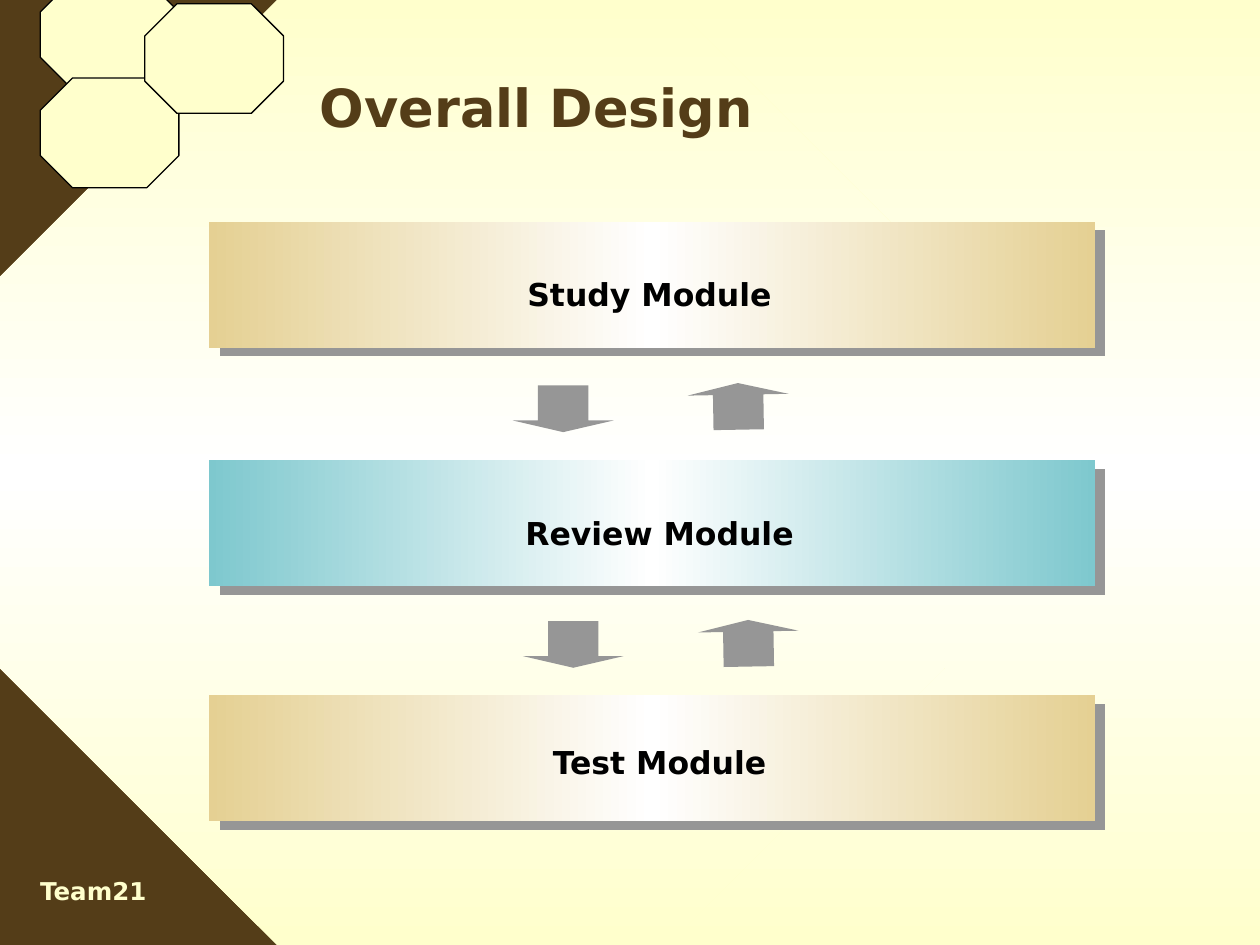
from copy import deepcopy
from dataclasses import dataclass

from lxml import etree
from pptx import Presentation
from pptx.dml.color import RGBColor
from pptx.enum import shapes, text
from pptx.oxml import ns
from pptx.util import Inches, Pt

COLORS = {
    "brown": "543D18",
    "cream": "FFFFCC",
    "white": "FFFFFF",
    "black": "000000",
    "sand": "E5D093",
    "teal": "7EC8CE",
    "gray": "969696",
}
FONT = "DejaVu Sans"
OCTAGON = shapes.MSO_SHAPE.OCTAGON
RECTANGLE = shapes.MSO_SHAPE.RECTANGLE
DOWN_ARROW = shapes.MSO_SHAPE.DOWN_ARROW


@dataclass
class Module:
    name: str
    color: str
    top: float
    label_left: float
    label_top: float


@dataclass
class Arrow:
    left: float
    top: float
    rotation: float = 0


MODULES = [
    Module("Study Module", "sand", 1.76, 1.82, 2.13),
    Module("Review Module", "teal", 3.65, 1.90, 4.03),
    Module("Test Module", "sand", 5.52, 1.90, 5.85),
]
ARROWS = [
    Arrow(4.07, 3.06),
    Arrow(4.15, 4.93),
    Arrow(5.46, 3.04, 179),
    Arrow(5.54, 4.92, 179),
]
CELLS = [(0.32, -0.16), (0.32, 0.62), (1.15, 0.03)]


def rgb(name: str) -> RGBColor:
    return RGBColor.from_string(COLORS[name])


def add_shape(slide, kind, left: float, top: float, width: float, height: float):
    """Add a preset shape with neither outline nor shadow."""
    shape = slide.shapes.add_shape(
        kind, Inches(left), Inches(top), Inches(width), Inches(height))
    shape.shadow.inherit = False
    shape.line.fill.background()
    if kind == OCTAGON:
        shape.adjustments[0] = 0.293
    return shape


def fill_solid(shape, color: str) -> None:
    shape.fill.solid()
    shape.fill.fore_color.rgb = rgb(color)


def fill_mirrored(shape, edge: str, angle: float) -> None:
    """Fill with a gradient that is white midway and the edge colour at both ends."""
    shape.fill.gradient()
    shape.fill.gradient_angle = angle
    stop_list = shape._element.spPr.find(".//" + ns.qn("a:gsLst"))
    stop_list.insert(1, deepcopy(stop_list[0]))
    for stop, position, color in zip(
            shape.fill.gradient_stops, (0, 0.5, 1), (edge, "white", edge)):
        stop.position = position
        stop.color.rgb = rgb(color)


def add_hard_shadow(shape, color: str) -> None:
    effects = shape._element.spPr.find(ns.qn("a:effectLst"))
    shadow = etree.SubElement(
        effects, ns.qn("a:outerShdw"), dist=str(int(Pt(7.8))),
        dir=str(40 * 60000), algn="ctr", rotWithShape="0")
    etree.SubElement(shadow, ns.qn("a:srgbClr"), val=COLORS[color])


def add_text(slide, wording: str, left: float, top: float, width: float,
             height: float, *, size: float, color: str,
             align=text.PP_ALIGN.LEFT, anchor=text.MSO_ANCHOR.TOP) -> None:
    box = slide.shapes.add_textbox(
        Inches(left), Inches(top), Inches(width), Inches(height))
    frame = box.text_frame
    frame.word_wrap = True
    frame.vertical_anchor = anchor
    paragraph = frame.paragraphs[0]
    paragraph.alignment = align
    run = paragraph.add_run()
    run.text = wording
    run.font.name = FONT
    run.font.size = Pt(size)
    run.font.bold = True
    run.font.color.rgb = rgb(color)


def add_backdrop(slide) -> None:
    slide.background.fill.solid()
    slide.background.fill.fore_color.rgb = rgb("brown")
    fill_mirrored(add_shape(slide, RECTANGLE, 4.33, 0, 5.67, 7.5), "cream", 90)
    fill_mirrored(add_shape(slide, OCTAGON, 0, 0, 7.5, 7.5), "cream", 90)
    for left, top in CELLS:
        cell = add_shape(slide, OCTAGON, left, top, 1.1, 0.87)
        fill_solid(cell, "cream")
        cell.line.color.rgb = rgb("black")
        cell.line.width = Pt(0.75)


def add_module(slide, module: Module) -> None:
    bar = add_shape(slide, RECTANGLE, 1.66, module.top, 7.03, 1)
    fill_mirrored(bar, module.color, 180)
    add_hard_shadow(bar, "gray")
    add_text(slide, module.name, module.label_left, module.label_top, 6.67, 0.64,
             size=18, color="black", align=text.PP_ALIGN.CENTER)


def add_arrow(slide, arrow: Arrow) -> None:
    shape = add_shape(slide, DOWN_ARROW, arrow.left, arrow.top, 0.8, 0.37)
    shape.adjustments[0] = 0.5
    shape.adjustments[1] = 0.25
    shape.rotation = arrow.rotation
    fill_solid(shape, "gray")


def main() -> None:
    presentation = Presentation()
    presentation.slide_width = Inches(10)
    presentation.slide_height = Inches(7.5)
    slide = presentation.slides.add_slide(presentation.slide_layouts[6])

    add_backdrop(slide)
    add_text(slide, "Overall Design", 2.44, 0.51, 7.55, 0.67,
             size=30, color="brown", anchor=text.MSO_ANCHOR.MIDDLE)
    for module in MODULES:
        add_module(slide, module)
    for arrow in ARROWS:
        add_arrow(slide, arrow)
    add_text(slide, "Team21", 0.22, 6.9, 1.2, 0.38, size=14, color="cream")

    presentation.save("out.pptx")


if __name__ == "__main__":
    main()
